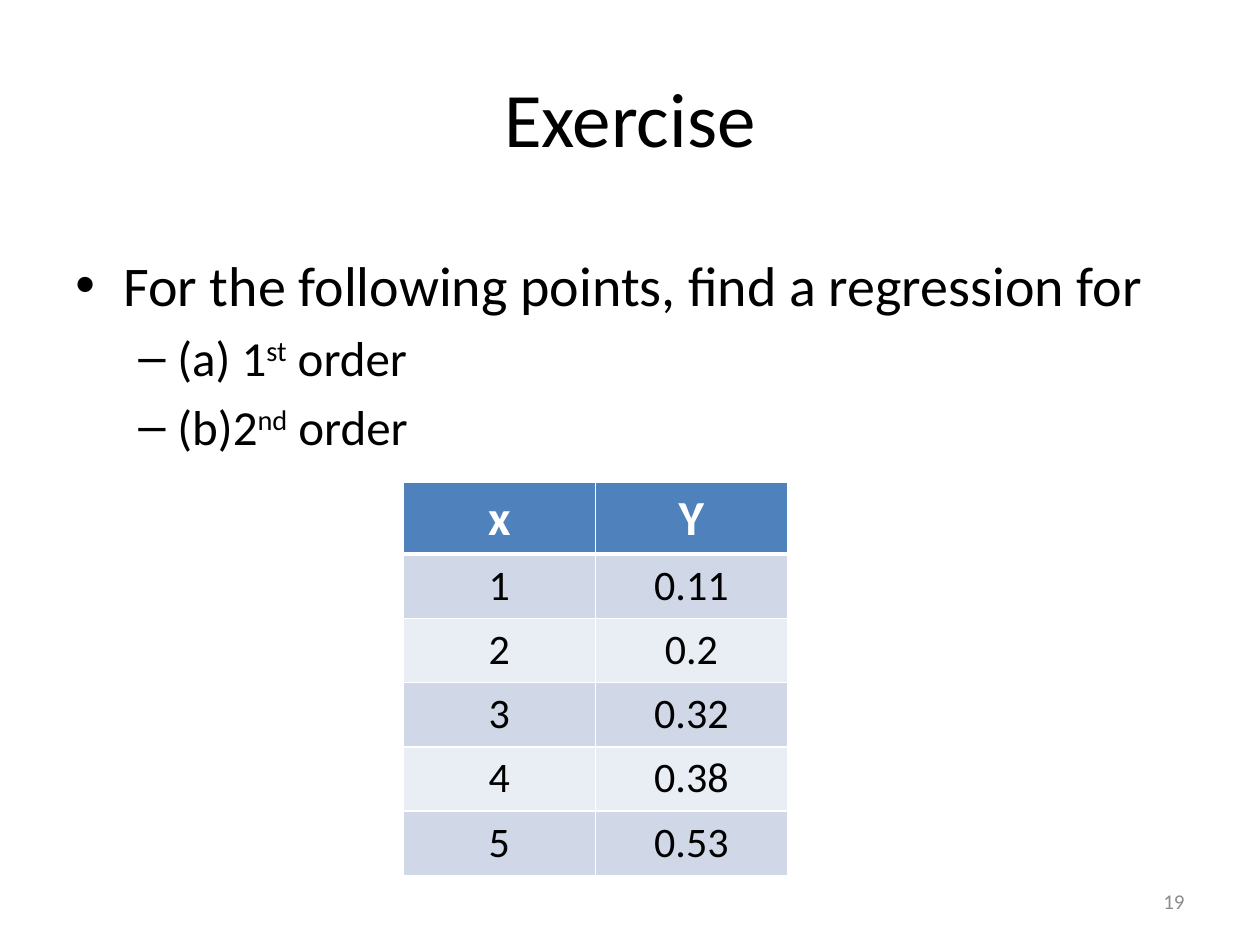
from lxml.etree import SubElement
from pptx import Presentation
from pptx.dml.color import RGBColor
from pptx.enum.text import MSO_ANCHOR as Anchor, PP_ALIGN as Align
from pptx.oxml.ns import qn
from pptx.util import Emu, Inches, Pt

BLACK, WHITE, GREY = "000000", "FFFFFF", "8C8C8C"
HEADER_FILL, BAND_FILLS = "4F81BD", ("D0D8E8", "E9EDF4")


def rgb(value):
    return RGBColor.from_string(value)


class SlideBuilder:
    font_name = "Calibri"

    def __init__(self, slide):
        self.slide = slide

    def add_run(self, paragraph, text, size, color=BLACK, bold=False, raised=False):
        run = paragraph.add_run()
        run.text = text
        run.font.name = self.font_name
        run.font.size = Pt(size)
        run.font.bold = bold
        run.font.color.rgb = rgb(color)
        if raised:
            run._r.get_or_add_rPr().set("baseline", "30000")

    def add_frame(self, left, top, width, height, anchor=Anchor.MIDDLE):
        box = self.slide.shapes.add_textbox(
            Inches(left), Inches(top), Inches(width), Inches(height))
        frame = box.text_frame
        frame.word_wrap = True
        frame.vertical_anchor = anchor
        return frame

    def add_line(self, area, text, size, align, color=BLACK):
        paragraph = self.add_frame(*area).paragraphs[0]
        paragraph.alignment = align
        self.add_run(paragraph, text, size, color)

    def add_bullets(self, area, items):
        """Each item is (level, size, runs); a run is (text, raised)."""
        frame = self.add_frame(*area, anchor=Anchor.TOP)
        styles = (("•", 0.38, 0.38), ("–", 0.81, 0.31))
        for index, (level, size, runs) in enumerate(items):
            paragraph = frame.add_paragraph() if index else frame.paragraphs[0]
            mark, margin, hang = styles[level]
            paragraph.level = level
            paragraph.space_before = Pt(size * 0.2 if index else 0)
            properties = paragraph._p.get_or_add_pPr()
            properties.set("marL", str(Inches(margin)))
            properties.set("indent", str(-Inches(hang)))
            SubElement(properties, qn("a:buFont"), typeface="Arial")
            SubElement(properties, qn("a:buChar"), char=mark)
            for text, raised in runs:
                self.add_run(paragraph, text, size, raised=raised)

    def set_borders(self, cell, bottom_width, top_width):
        properties = cell._tc.get_or_add_tcPr()
        widths = {"L": 1, "R": 1, "T": top_width, "B": bottom_width}
        for position, (side, width) in enumerate(widths.items()):
            line = SubElement(properties, qn(f"a:ln{side}"), w=str(Pt(width)))
            fill = SubElement(line, qn("a:solidFill"))
            SubElement(fill, qn("a:srgbClr"), val=WHITE)
            properties.insert(position, line)

    def add_table(self, left, top, width, height, rows):
        table = self.slide.shapes.add_table(
            len(rows), len(rows[0]), Inches(left), Inches(top),
            Inches(width), Inches(height)).table
        for row in table.rows:
            row.height = Emu(Inches(height) // len(rows))
        for r, values in enumerate(rows):
            header = r == 0
            for c, value in enumerate(values):
                cell = table.cell(r, c)
                cell.fill.solid()
                cell.fill.fore_color.rgb = rgb(
                    HEADER_FILL if header else BAND_FILLS[(r - 1) % 2])
                self.set_borders(cell, 3 if header else 1, 3 if r == 1 else 1)
                paragraph = cell.text_frame.paragraphs[0]
                paragraph.alignment = Align.CENTER
                self.add_run(paragraph, value, 28 if header else 24,
                             WHITE if header else BLACK, bold=header)


def main():
    deck = Presentation()
    deck.slide_width, deck.slide_height = Inches(10), Inches(7.5)
    builder = SlideBuilder(deck.slides.add_slide(deck.slide_layouts[6]))

    builder.add_line((0.5, 0.3, 9, 1.25), "Exercise", 44, Align.CENTER)
    builder.add_bullets((0.5, 1.94, 9, 2.04), [
        (0, 32, [("For the following points, find a regression for", False)]),
        (1, 28, [("(a) 1", False), ("st", True), (" order", False)]),
        (1, 28, [("(b)2", False), ("nd", True), (" order", False)]),
    ])
    builder.add_line((7.17, 6.95, 2.33, 0.4), "19", 12, Align.RIGHT, GREY)
    builder.add_table(3.2, 3.83, 3.05, 3.06, [
        ("x", "Y"), ("1", "0.11"), ("2", "0.2"),
        ("3", "0.32"), ("4", "0.38"), ("5", "0.53"),
    ])
    deck.save("out.pptx")


if __name__ == "__main__":
    main()
